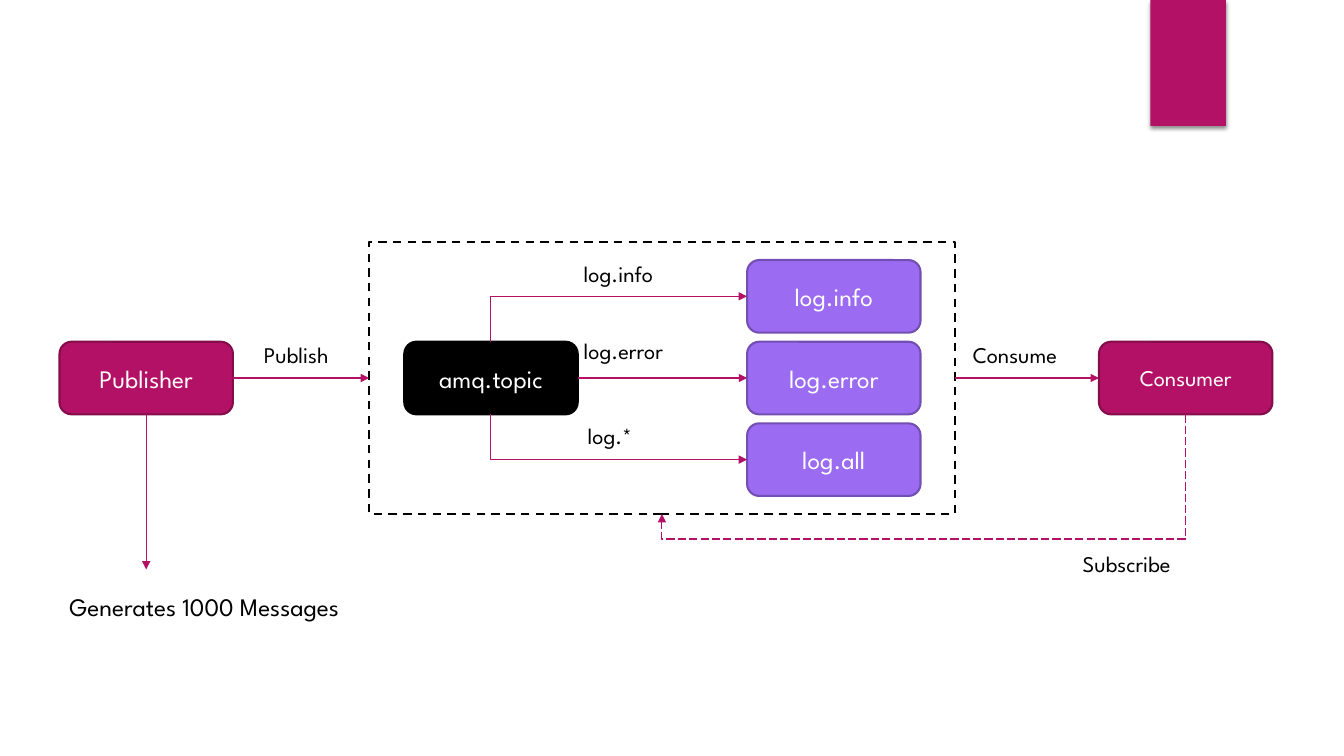
from dataclasses import dataclass

from lxml import etree
from pptx import Presentation, util as u
from pptx.dml.color import RGBColor
from pptx.enum import dml, shapes, text
from pptx.oxml.ns import qn


@dataclass(frozen=True)
class Theme:
    font: str = "League Spartan"
    accent: str = "B31166"
    accent_edge: str = "840D4B"
    queue: str = "9B6BF2"
    queue_edge: str = "734FB3"
    black: str = "000000"
    white: str = "FFFFFF"
    body: int = 18
    small: int = 16
    edge: float = 1.5
    arrow: float = 0.75


T = Theme()
NODE_W, NODE_H = 1.72, 0.72
TOP, LEFT, BOTTOM, RIGHT = range(4)  # connection sites of a box


def inches(*values):
    return [u.Inches(v) for v in values]


def write(shape, words, size, color, align):
    tf = shape.text_frame
    tf.word_wrap = True
    p = tf.paragraphs[0]
    p.alignment = align
    r = p.add_run()
    r.text = words
    for name, value in {"name": T.font, "size": u.Pt(size)}.items():
        setattr(r.font, name, value)
    r.font.color.rgb = RGBColor.from_string(color)
    return tf


def block(s, kind, box, fill, edge=None):
    sp = s.shapes.add_shape(kind, *inches(*box))
    sp.shadow.inherit = False
    sp.fill.solid()
    sp.fill.fore_color.rgb = RGBColor.from_string(fill)
    if edge:
        sp.line.color.rgb = RGBColor.from_string(edge)
        sp.line.width = u.Pt(T.edge)
    else:
        sp.line.fill.background()
    return sp


def node(s, x, y, words, fill, edge, size=T.body):
    sp = block(s, shapes.MSO_SHAPE.ROUNDED_RECTANGLE, (x, y, NODE_W, NODE_H), fill, edge)
    tf = write(sp, words, size, T.white, text.PP_ALIGN.CENTER)
    tf.vertical_anchor = text.MSO_ANCHOR.MIDDLE
    return sp


def label(s, x, y, w, words, size=T.small, h=0.37):
    tb = s.shapes.add_textbox(*inches(x, y, w, h))
    tf = write(tb, words, size, T.black, text.PP_ALIGN.LEFT)
    tf.auto_size = text.MSO_AUTO_SIZE.SHAPE_TO_FIT_TEXT


def arrow(s, start, end, kind=shapes.MSO_CONNECTOR.STRAIGHT, dash=None):
    """Join two (shape, site) pairs; end may also be a point in inches."""
    c = s.shapes.add_connector(kind, 0, 0, 0, 0)
    c.begin_connect(*start)
    if isinstance(end[0], float):
        c.end_x, c.end_y = inches(*end)
    else:
        c.end_connect(*end)
    c.line.color.rgb = RGBColor.from_string(T.accent)
    c.line.width = u.Pt(T.arrow)
    if dash:
        c.line.dash_style = dash
    ln = c.line._get_or_add_ln()
    etree.SubElement(ln, qn("a:tailEnd"), type="triangle")
    etree.SubElement(c._element.spPr, qn("a:effectLst"))
    return c


def elbow(s, start, end, preset, turn, flips="", bend=None, dash=None):
    """An arrow that leaves its box vertically: a quarter-turned elbow."""
    c = arrow(s, start, end, shapes.MSO_CONNECTOR.ELBOW, dash)
    w, h = abs(c.end_y - c.begin_y), abs(c.end_x - c.begin_x)
    mid_x, mid_y = (c.begin_x + c.end_x) // 2, (c.begin_y + c.end_y) // 2
    c.left, c.top, c.width, c.height = mid_x - w // 2, mid_y - h // 2, w, h
    xfrm = c._element.spPr.find(qn("a:xfrm"))
    for name in ("flipH", "flipV"):
        xfrm.set(name, "1" if name[-1] in flips else "0")
    xfrm.set("rot", str(turn * 60000))
    geom = c._element.spPr.find(qn("a:prstGeom"))
    geom.set("prst", preset)
    if bend:
        guides = geom.find(qn("a:avLst"))
        etree.SubElement(guides, qn("a:gd"), name="adj1", fmla=f"val {round(bend * 100000)}")


def corner_tab(s, box):
    sp = block(s, shapes.MSO_SHAPE.RECTANGLE, box, T.accent)
    effects = sp._element.spPr.find(qn("a:effectLst"))
    shadow = etree.SubElement(effects, qn("a:outerShdw"), blurRad=str(u.Pt(3)),
                              dist=str(u.Pt(2)), dir="5400000", rotWithShape="0")
    color = etree.SubElement(shadow, qn("a:srgbClr"), val=T.black)
    etree.SubElement(color, qn("a:alpha"), val="45000")


def broker(s, box):
    """Dashed frame with the exchange and its three bound queues."""
    x, y, w, h = box
    frame = block(s, shapes.MSO_SHAPE.RECTANGLE, box, T.white, T.black)
    frame.line.dash_style = dml.MSO_LINE.DASH
    middle = y + (h - NODE_H) / 2
    exchange = node(s, x + 0.35, middle, "amq.topic", T.black, T.black)
    queues = [node(s, x + 3.75, middle + i * 0.81, words, T.queue, T.queue_edge)
              for i, words in zip((-1, 0, 1), ("log.info", "log.error", "log.all"))]

    # Bindings from the exchange to each queue
    info, error, everything = queues
    elbow(s, (exchange, TOP), (info, LEFT), "bentConnector2", 90, "HV")
    arrow(s, (exchange, RIGHT), (error, LEFT))
    elbow(s, (exchange, BOTTOM), (everything, LEFT), "bentConnector2", 270, "H")
    for dx, dy, words in ((2.03, 0.13, "log.info"), (2.03, 0.9, "log.error"),
                          (2.07, 1.74, "log.*")):
        label(s, x + dx, y + dy, 1.15, words)
    return frame


def publisher(s, box, frame):
    x, y = box
    sp = node(s, x, y, "Publisher", T.accent, T.accent_edge)
    arrow(s, (sp, RIGHT), (frame, LEFT))
    arrow(s, (sp, BOTTOM), (x + NODE_W / 2, y + 2.26))
    label(s, x + 1.93, y - 0.05, 0.97, "Publish")
    label(s, x, y + 2.43, 3.5, "Generates 1000 Messages", T.body, 0.4)


def consumer(s, box, frame):
    x, y = box
    sp = node(s, x, y, "Consumer", T.accent, T.accent_edge, T.small)
    arrow(s, (frame, RIGHT), (sp, LEFT))
    elbow(s, (sp, BOTTOM), (frame, BOTTOM), "bentConnector3", 90,
          bend=1.25, dash=dml.MSO_LINE.LONG_DASH)
    label(s, x - 1.35, y - 0.05, 1.25, "Consume")
    label(s, x - 0.26, y + 2.02, 1.25, "Subscribe")


def main():
    prs = Presentation()
    prs.slide_width, prs.slide_height = inches(13.33, 7.5)
    s = prs.slides.add_slide(prs.slide_layouts[6])
    corner_tab(s, (11.41, 0, 0.75, 1.25))
    frame = broker(s, (3.66, 2.4, 5.81, 2.7))
    publisher(s, (0.59, 3.39), frame)
    consumer(s, (10.9, 3.39), frame)
    prs.save("out.pptx")


if __name__ == "__main__":
    main()
